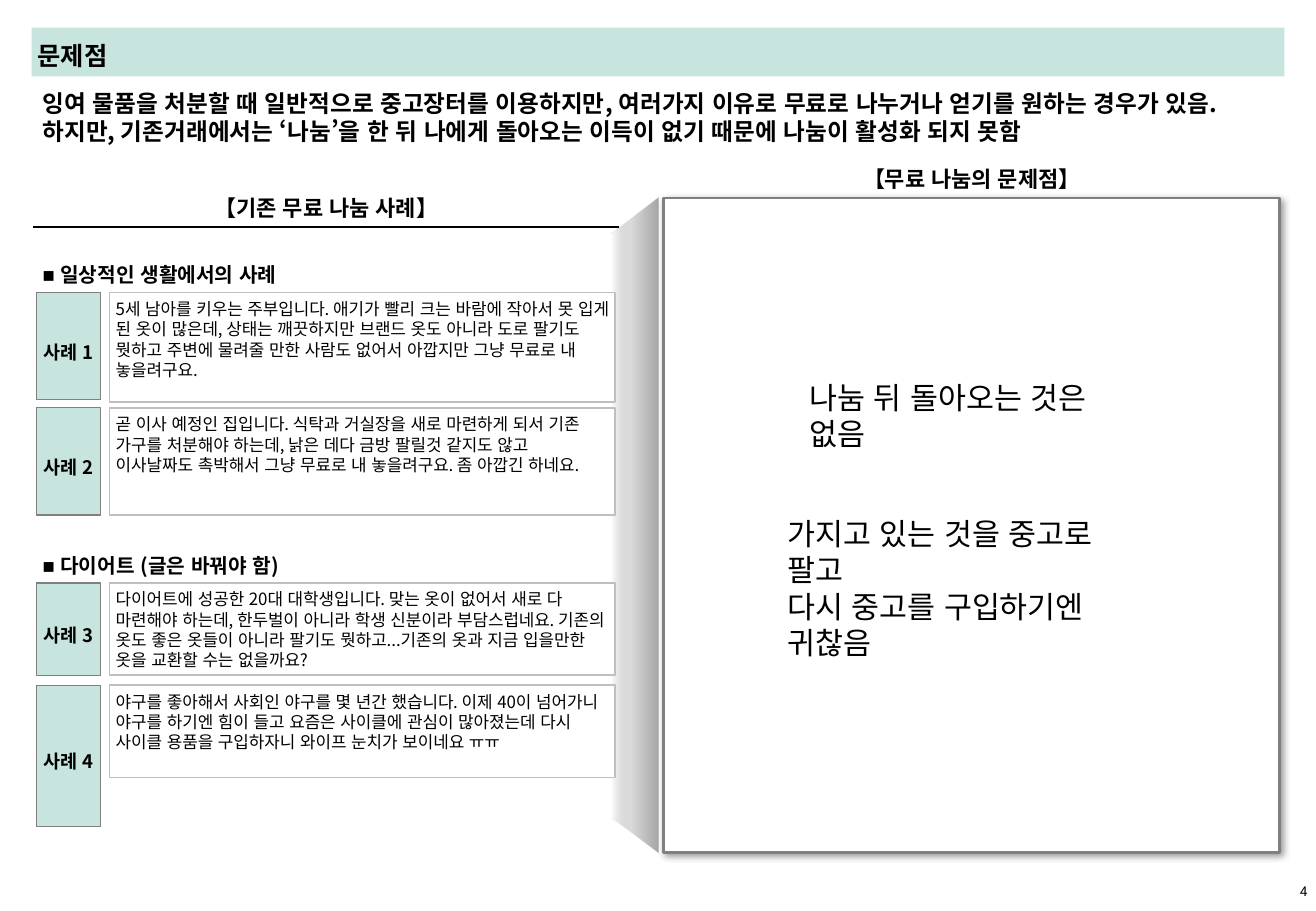
"""Build the slide on the problems of giving things away for free."""
from lxml.etree import SubElement
from pptx import Presentation
from pptx.dml.color import RGBColor
from pptx.enum.lang import MSO_LANGUAGE_ID
from pptx.enum.shapes import MSO_CONNECTOR, MSO_SHAPE
from pptx.enum.text import MSO_ANCHOR, PP_ALIGN
from pptx.oxml import parse_xml
from pptx.oxml.ns import nsdecls, qn
from pptx.util import Cm, Pt

THEME = {
    "black": "000000", "white": "FFFFFF", "mint": "C8E4DF",
    "gray": "808080", "pale": "BFBFBF", "fold": "A6A6A6",
    "font": "Noto Sans CJK KR", "bullet_font": "Arial", "number_font": "Roboto",
    "title": 15, "lead": 14, "head": 13, "section": 12,
    "label": 11, "story": 10, "note": 18, "number": 8,
}
INSET = 0.13


def add_box(at, fill=None, line=None, width=1):
    """Add a text box, or a rectangle when a fill is given."""
    at = [Cm(v) for v in at]
    if fill is None:
        return s.shapes.add_textbox(*at)
    sp = s.shapes.add_shape(MSO_SHAPE.RECTANGLE, *at)
    sp.shadow.inherit = False
    sp.fill.solid()
    sp.fill.fore_color.rgb = RGBColor.from_string(THEME[fill])
    if line:
        sp.line.color.rgb = RGBColor.from_string(THEME[line])
        sp.line.width = Pt(width)
    else:
        sp.line.fill.background()
    return sp


def write(sp, paragraphs, size, bold=False, font="font", inset=INSET,
          align=PP_ALIGN.LEFT, anchor=MSO_ANCHOR.TOP, spacing=None):
    """Fill a shape with paragraphs of (text, font, bold) runs or plain text."""
    tf = sp.text_frame
    frame = {"word_wrap": True, "vertical_anchor": anchor, "margin_left": Cm(inset),
             "margin_right": Cm(inset), "margin_top": Cm(inset), "margin_bottom": 0}
    for name, value in frame.items():
        setattr(tf, name, value)
    for i, runs in enumerate(paragraphs):
        p = tf.paragraphs[0] if i == 0 else tf.add_paragraph()
        p.alignment, p.line_spacing = align, spacing
        if isinstance(runs, str):
            runs = [(runs, font, bold)]
        for text, face, heavy in runs:
            r = p.add_run()
            r.text = text
            style = {"size": Pt(THEME[size]), "bold": heavy, "name": THEME[face],
                     "language_id": MSO_LANGUAGE_ID.KOREAN}
            for name, value in style.items():
                setattr(r.font, name, value)
            r.font.color.rgb = RGBColor.from_string(THEME["black"])
            SubElement(r.font._element, qn("a:ea"), typeface=THEME[face])


prs = Presentation()
prs.slide_width, prs.slide_height = Cm(27.51), Cm(19.05)
s = prs.slides.add_slide(prs.slide_layouts[6])

fold = s.shapes.build_freeform(Cm(13.77), Cm(17.83))
fold.add_line_segments([(Cm(x), Cm(y)) for x, y in
                        ((12.78, 17.09), (12.78, 4.9), (13.77, 4.14))])
sp = fold.convert_to_shape()
sp.shadow.inherit = False
sp.line.fill.background()
sp.fill.gradient()
sp.fill.gradient_angle = 0
stops = sp._element.spPr.find(qn("a:gradFill")).find(qn("a:gsLst"))
for stop in list(stops):
    stops.remove(stop)
for pos, color, alpha in ((0, "white", 100), (40, "fold", 39), (100, "fold", 100)):
    stops.append(parse_xml(
        f'<a:gs {nsdecls("a")} pos="{pos * 1000}"><a:srgbClr val="{THEME[color]}">'
        f'<a:alpha val="{alpha * 1000}"/></a:srgbClr></a:gs>'))

panel = add_box((13.87, 4.14, 12.88, 13.69), "white", "gray", 1.5)
panel._element.spPr.find(qn("a:effectLst")).append(parse_xml(
    f'<a:outerShdw {nsdecls("a")} blurRad="{Pt(4)}" dist="{Pt(2)}" dir="2700000" '
    f'algn="tl" rotWithShape="0"><a:srgbClr val="{THEME["black"]}">'
    '<a:alpha val="40000"/></a:srgbClr></a:outerShdw>'))

write(add_box((0.66, 0.58, 26.19, 1.02), "mint"), ["문제점"], "title", True,
      anchor=MSO_ANCHOR.MIDDLE, inset=INSET)
write(add_box((0.76, 1.73, 26.01, 1.6)),
      ["잉여 물품을 처분할 때 일반적으로 중고장터를 이용하지만, 여러가지 이유로 무료로 "
       "나누거나 얻기를 원하는 경우가 있음. 하지만, 기존거래에서는 ‘나눔’을 한 뒤 나에게 "
       "돌아오는 이득이 없기 때문에 나눔이 활성화 되지 못함"], "lead", True)
write(add_box((27, 18.26, 0.46, 0.61)), ["4"], "number", font="number_font",
      align=PP_ALIGN.RIGHT, anchor=MSO_ANCHOR.MIDDLE)

rule = s.shapes.add_connector(MSO_CONNECTOR.STRAIGHT, Cm(0.69), Cm(4.75), Cm(12.95), Cm(4.75))
rule.line.color.rgb = RGBColor.from_string(THEME["black"])
rule.line.width = Pt(1)
SubElement(rule._element.spPr, qn("a:effectLst"))

for x, y, text in ((0.84, 3.94, "【기존 무료 나눔 사례】"), (14.33, 3.33, "【무료 나눔의 문제점】")):
    write(add_box((x, y, 11.96, 0.84)), [text], "head", True, align=PP_ALIGN.CENTER)

for y, text in ((5.11, "일상적인 생활에서의 사례"), (11.18, "다이어트 (글은 바꿔야 함)")):
    write(add_box((0.76, y, 8.13, 0.81)),
          [[("■ ", "bullet_font", False), (text, "font", True)]], "section", spacing=1.5)

cases = (
    (6.12, 2.24, 2.29,
     "5세 남아를 키우는 주부입니다. 애기가 빨리 크는 바람에 작아서 못 입게 된 옷이 많은데, "
     "상태는 깨끗하지만 브랜드 옷도 아니라 도로 팔기도 뭣하고 주변에 물려줄 만한 사람도 "
     "없어서 아깝지만 그냥 무료로 내 놓을려구요."),
    (8.53, 2.24, 2.24,
     "곧 이사 예정인 집입니다. 식탁과 거실장을 새로 마련하게 되서 기존 가구를 처분해야 하는데, "
     "낡은 데다 금방 팔릴것 같지도 않고 이사날짜도 촉박해서 그냥 무료로 내 놓을려구요. "
     "좀 아깝긴 하네요."),
    (12.19, 1.93, 1.93,
     "다이어트에 성공한 20대 대학생입니다. 맞는 옷이 없어서 새로 다 마련해야 하는데, "
     "한두벌이 아니라 학생 신분이라 부담스럽네요. 기존의 옷도 좋은 옷들이 아니라 팔기도 "
     "뭣하고...기존의 옷과 지금 입을만한 옷을 교환할 수는 없을까요?"),
    (14.33, 2.95, 1.93,
     "야구를 좋아해서 사회인 야구를 몇 년간 했습니다. 이제 40이 넘어가니 야구를 하기엔 힘이 "
     "들고 요즘은 사이클에 관심이 많아졌는데 다시 사이클 용품을 구입하자니 와이프 눈치가 "
     "보이네요 ㅠㅠ"),
)
for n, (y, label_h, story_h, story) in enumerate(cases, 1):
    write(add_box((2.29, y, 10.57, story_h), "white", "pale"), [story], "story")
    write(add_box((0.76, y, 1.35, label_h), "mint", "gray", 0.75), [f"사례 {n}"], "label",
          True, inset=0, align=PP_ALIGN.CENTER, anchor=MSO_ANCHOR.MIDDLE, spacing=1.5)

notes = (
    ((16.79, 7.8, 7.04, 1.07), ["나눔 뒤 돌아오는 것은 없음"]),
    ((16.33, 10.64, 7.95, 1.9), ["가지고 있는 것을 중고로 팔고", "다시 중고를 구입하기엔 귀찮음"]),
)
for at, lines in notes:
    write(add_box(at), lines, "note")

prs.save("out.pptx")
